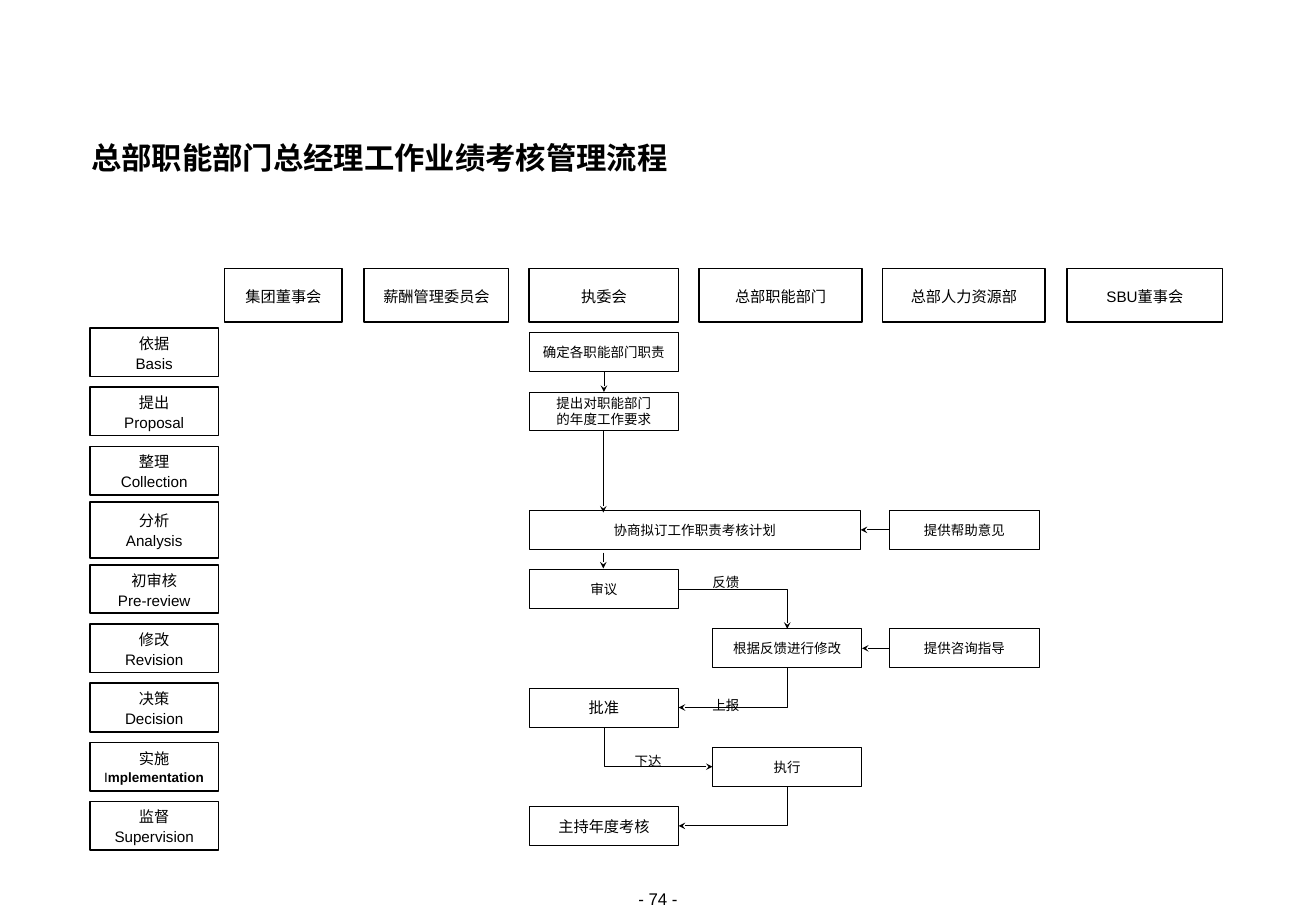
from pptx import Presentation
from pptx.dml.color import RGBColor
from pptx.enum.shapes import MSO_CONNECTOR, MSO_SHAPE
from pptx.enum.text import MSO_ANCHOR, PP_ALIGN
from pptx.oxml.ns import qn
from pptx.util import Inches, Pt
from lxml import etree

RECT = MSO_SHAPE.RECTANGLE
LINE, BENT = MSO_CONNECTOR.STRAIGHT, MSO_CONNECTOR.ELBOW
LEFT, CENTER = PP_ALIGN.LEFT, PP_ALIGN.CENTER
TOP, MIDDLE = MSO_ANCHOR.TOP, MSO_ANCHOR.MIDDLE
ink = RGBColor.from_string("000000")
paper = RGBColor.from_string("FFFFFF")

deck = Presentation()
deck.slide_width, deck.slide_height = Inches(10.84), Inches(7.5)
slide = deck.slides.add_slide(deck.slide_layouts[6])
shapes = slide.shapes


def put(text, x, y, w, h, size, edge=0, space=1.0, align=CENTER, anchor=MIDDLE):
    """Add text at a place in inches; a positive edge width frames it."""
    area = [Inches(v) for v in (x, y, w, h)]
    if edge:
        box = shapes.add_shape(RECT, *area)
        box.shadow.inherit = False
        box.line.color.rgb = ink
        box.line.width = Pt(edge)
        box.fill.background()
    else:
        box = shapes.add_textbox(*area)
    frame = box.text_frame
    frame.margin_left = frame.margin_right = 0
    frame.margin_top = frame.margin_bottom = 0
    frame.word_wrap = True
    frame.vertical_anchor = anchor
    frame.text = text
    for para in frame.paragraphs:
        para.alignment = align
        para.line_spacing = space
        para.font.name = "Arial"
        para.font.size = Pt(size)
        para.font.color.rgb = ink
    return box


def link(kind, x1=0, y1=0, x2=0, y2=0, start=None, end=None, tip="tailEnd"):
    """Draw an arrow between points, or between (box, side) pairs."""
    line = shapes.add_connector(kind, *[Inches(v) for v in (x1, y1, x2, y2)])
    if start:
        line.begin_connect(*start)
    if end:
        line.end_connect(*end)
    line.line.color.rgb = ink
    line.line.width = Pt(0.5)
    props = line._element.spPr
    if kind == BENT:
        props.find(qn("a:prstGeom")).set("prst", "bentConnector2")
    etree.SubElement(props.find(qn("a:ln")), qn(f"a:{tip}"),
                     type="stealth", w="sm", len="sm")
    etree.SubElement(props, qn("a:effectLst"))


title = put("总部职能部门总经理工作业绩考核管理流程", 0.75, 1.17, 9.33, 0.28, 18,
            space=Pt(20), align=LEFT, anchor=TOP)
title.text_frame.paragraphs[0].font.bold = True
put("- 74 -", 4.85, 7.32, 1.14, 0.17, 10, anchor=TOP)

# Column heads: the bodies that take part
for name, x, w in [
    ("集团董事会", 1.85, 0.97), ("薪酬管理委员会", 3, 1.19),
    ("执委会", 4.36, 1.23), ("总部职能部门", 5.76, 1.34),
    ("总部人力资源部", 7.27, 1.34), ("SBU董事会", 8.79, 1.28),
]:
    put(name, x, 2.21, w, 0.44, 9, edge=1, space=1.1)

# Row heads: the stages
PITCH = 3.9 / 8
stages = [
    ("依据", "Basis"), ("提出", "Proposal"), ("整理", "Collection"),
    ("分析", "Analysis"), ("初审核", "Pre-review"), ("修改", "Revision"),
    ("决策", "Decision"), ("实施", ""), ("监督", "Supervision"),
]
for row, (name, gloss) in enumerate(stages):
    grow = 0.03 if gloss == "Analysis" else 0
    box = put(f"{name}\n{gloss}", 0.74, 2.7 + row * PITCH - grow,
              1.06, 0.4 + 2 * grow, 9, edge=1, space=1.1)
    if not gloss:
        para = box.text_frame.paragraphs[1]
        para.font.size = Pt(8)
        para.add_run().text = "I"
        run = para.add_run()
        run.text = "mplementation"
        run.font.bold = True

# Steps: key, text, row, left, width, text size
BOARD, DEPT, STAFF = 4.36, 5.87, 7.33
steps = {}
for key, text, row, x, w, size in [
    ("duty", "确定各职能部门职责", 0, BOARD, 1.23, 8),
    ("goal", "提出对职能部门\n的年度工作要求", 1, BOARD, 1.23, 8),
    ("plan", "协商拟订工作职责考核计划", 3, BOARD, 2.73, 8),
    ("help", "提供帮助意见", 3, STAFF, 1.23, 8),
    ("check", "审议", 4, BOARD, 1.23, 8),
    ("guide", "提供咨询指导", 5, STAFF, 1.23, 8),
    ("revise", "根据反馈进行修改", 5, DEPT, 1.23, 8),
    ("pass", "批准", 6, BOARD, 1.23, 9),
    ("act", "执行", 7, DEPT, 1.23, 8),
    ("review", "主持年度考核", 8, BOARD, 1.23, 9),
]:
    box = put(text, x, 2.74 + row * PITCH, w, 0.32, size, edge=0.5)
    box.fill.solid()
    box.fill.fore_color.rgb = paper
    steps[key] = box

# Connection sites of a rectangle
N, W, S, E = range(4)
for kind, a, exit, b, entry, tip in [
    (LINE, "duty", S, "goal", N, "tailEnd"),
    (LINE, "help", W, "plan", E, "tailEnd"),
    (LINE, "guide", W, "revise", E, "tailEnd"),
    (BENT, "check", E, "revise", N, "tailEnd"),
    (BENT, "pass", E, "revise", S, "headEnd"),
    (BENT, "act", W, "pass", S, "headEnd"),
    (BENT, "review", E, "act", S, "headEnd"),
]:
    link(kind, start=(steps[a], exit), end=(steps[b], entry), tip=tip)
link(LINE, 4.97, 3.54, 4.97, 4.22)
link(LINE, 4.97, 4.55, 4.97, 4.68)

# Arrow labels
for text, x, y in [("反馈", 5.78, 4.67), ("上报", 5.78, 5.68), ("下达", 5.14, 6.14)]:
    put(text, x, y, 0.4, 0.19, 8, space=Pt(14))

deck.save("out.pptx")
